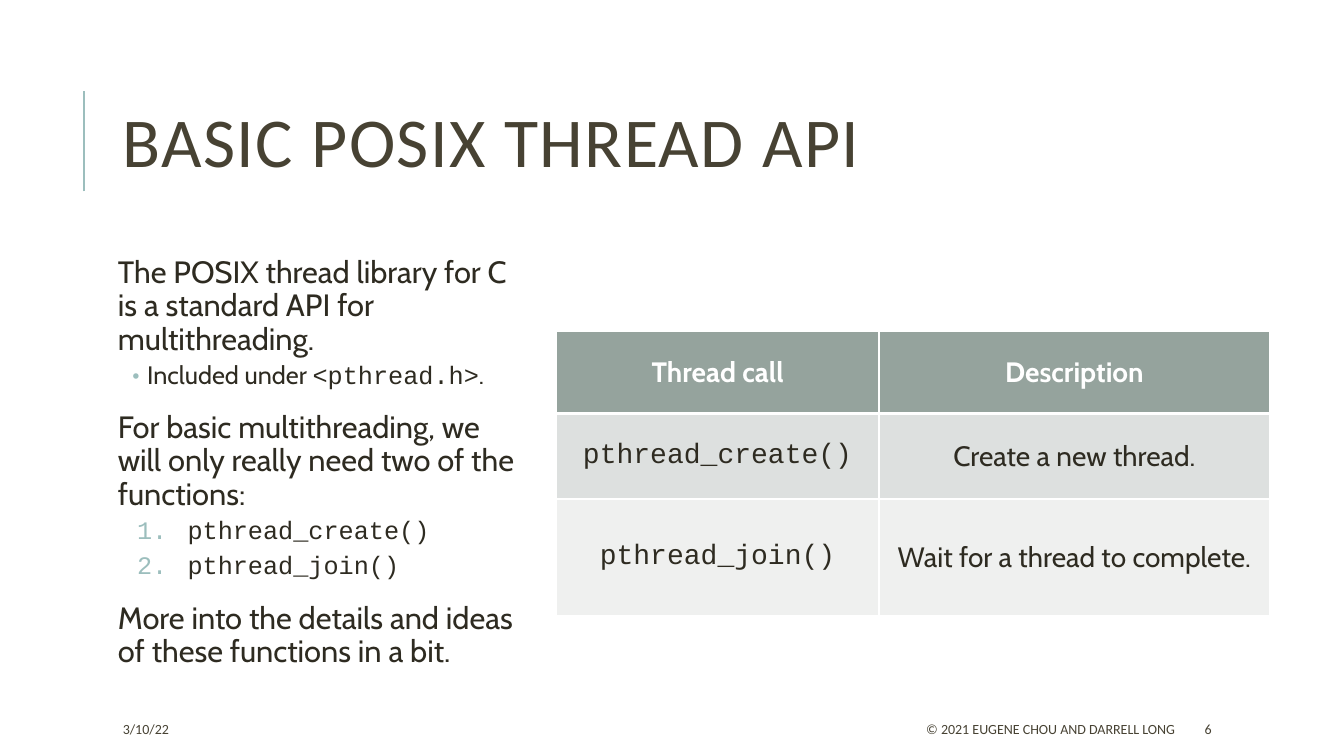
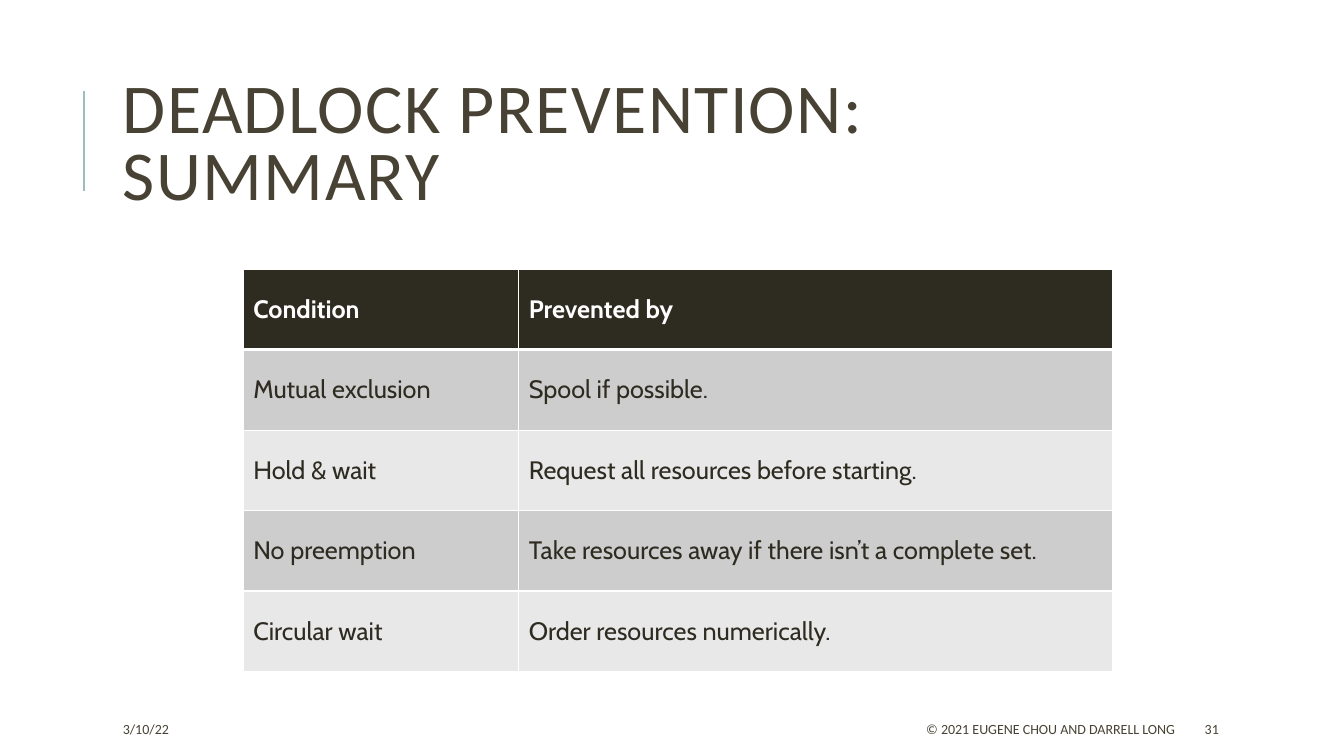
from dataclasses import dataclass

from pptx import Presentation
from pptx.dml.color import RGBColor
from pptx.enum.shapes import MSO_CONNECTOR as Connector
from pptx.enum.text import MSO_ANCHOR as Anchor, PP_ALIGN as Align
from pptx.oxml.ns import qn
from pptx.util import Emu, Inches, Pt
from lxml.etree import SubElement

COLORS = {
    "title": "474233",
    "text": "2E2B21",
    "accent": "9CBEBD",
    "white": "FFFFFF",
    "sage": "95A39D",
    "sage_dark": "DDE0DF",
    "sage_light": "EFF0EF",
    "gray_dark": "CDCDCD",
    "gray_light": "E8E8E8",
}
HEADING, BODY, CODE = "Calibri", "Cabin", "Courier New"
WIDTH, HEIGHT = Inches(13.333), Inches(7.5)
MARGIN = 8.4
FOOTER_TOP, FOOTER_HEIGHT = 94.4, 4
DATE = "3/10/22"
COPYRIGHT = "© 2021 EUGENE CHOU AND DARRELL LONG"


@dataclass(frozen=True)
class Span:
    text: str
    font: str = BODY


@dataclass(frozen=True)
class Level:
    size: int
    before: int
    after: int
    depth: int = 0
    left: float = 0
    hanging: float = 0
    marker: str = ""


@dataclass(frozen=True)
class Item:
    level: Level
    spans: tuple[Span, ...]


@dataclass(frozen=True)
class Grid:
    """A table; lengths are percentages of the slide's size."""
    left: float
    top: float
    columns: tuple[float, ...]
    rows: tuple[float, ...]
    cells: tuple[tuple[Span, ...], ...]
    size: int
    align: Align
    header: str
    bands: tuple[str, str]


LEAD = Level(22, 12, 2)
BULLET = Level(18, 2, 4, 1, 0.29, 0.15, "•")
NUMBER = Level(18, 2, 4, 1, 0.69, 0.5, "1.")

THREAD_NOTES = (
    Item(LEAD, (Span("The POSIX thread library for C is a standard API for multithreading."),)),
    Item(BULLET, (Span("Included under "), Span("<pthread.h>", CODE), Span("."))),
    Item(LEAD, (Span("For basic multithreading, we will only really need two of the functions:"),)),
    Item(NUMBER, (Span("pthread_create()", CODE),)),
    Item(NUMBER, (Span("pthread_join()", CODE),)),
    Item(LEAD, (Span("More into the details and ideas of these functions in a bit."),)),
)
THREAD_CALLS = Grid(
    41.4, 43.9, (24, 29.1), (10.8, 11.3, 15.4),
    (
        (Span("Thread call"), Span("Description")),
        (Span("pthread_create()", CODE), Span("Create a new thread.")),
        (Span("pthread_join()", CODE), Span("Wait for a thread to complete.")),
    ),
    20, Align.CENTER, "sage", ("sage_dark", "sage_light"),
)
PREVENTION = Grid(
    18.1, 35.6, (20.5, 44.2), (10.65,) * 5,
    (
        (Span("Condition"), Span("Prevented by")),
        (Span("Mutual exclusion"), Span("Spool if possible.")),
        (Span("Hold & wait"), Span("Request all resources before starting.")),
        (Span("No preemption"), Span("Take resources away if there isn’t a complete set.")),
        (Span("Circular wait"), Span("Order resources numerically.")),
    ),
    18, Align.LEFT, "text", ("gray_dark", "gray_light"),
)


def across(percent: float) -> Emu:
    return Emu(round(WIDTH * percent / 100))


def down(percent: float) -> Emu:
    return Emu(round(HEIGHT * percent / 100))


def rgb(name: str) -> RGBColor:
    return RGBColor.from_string(COLORS[name])


def add_span(para, span: Span, size: int, color: str, bold: bool = False):
    run = para.add_run()
    run.text = span.text
    run.font.name = span.font
    run.font.size = Pt(size)
    run.font.bold = bold
    run.font.color.rgb = rgb(color)
    return run


def add_box(page, left: float, top: float, width: float, height: float, anchor=Anchor.MIDDLE):
    box = page.shapes.add_textbox(across(left), down(top), across(width), down(height))
    frame = box.text_frame
    frame.word_wrap = True
    frame.vertical_anchor = anchor
    return frame


def add_title(page, title: str) -> None:
    rule = page.shapes.add_connector(
        Connector.STRAIGHT, across(6.25), down(25.33), across(6.25), down(12))
    rule.line.color.rgb = rgb("accent")
    rule.line.width = Pt(1.5)
    SubElement(rule._element.spPr, qn("a:effectLst"))

    para = add_box(page, MARGIN, 8.5, 79.75, 21.9).paragraphs[0]
    para.line_spacing = 0.8
    run = add_span(para, Span(title, HEADING), 50, "title")
    run.font._element.set("spc", "100")


def add_footer(page, number: int) -> None:
    for text, left, width, align in (
        (DATE, MARGIN, 17.7, Align.LEFT),
        (COPYRIGHT, 39.75, 48.4, Align.RIGHT),
        (str(number), 88.9, 7.95, Align.LEFT),
    ):
        para = add_box(page, left, FOOTER_TOP, width, FOOTER_HEIGHT).paragraphs[0]
        para.alignment = align
        add_span(para, Span(text, HEADING), 10, "title")


def add_marker(para, level: Level, font: str) -> None:
    props = para._p.get_or_add_pPr()
    props.set("marL", str(Inches(level.left)))
    props.set("indent", str(-Inches(level.hanging)))
    color = SubElement(props, qn("a:buClr"))
    SubElement(color, qn("a:srgbClr"), val=COLORS["accent"])
    SubElement(props, qn("a:buFont"), typeface=font)
    if level is NUMBER:
        SubElement(props, qn("a:buAutoNum"), type="arabicPeriod")
    else:
        SubElement(props, qn("a:buChar"), char=level.marker)


def add_notes(page, items: tuple[Item, ...]) -> None:
    frame = add_box(page, MARGIN, 33.33, 30.3, 58.67, Anchor.TOP)
    frame.margin_left = frame.margin_right = Inches(0.05)
    for index, item in enumerate(items):
        level = item.level
        para = frame.add_paragraph() if index else frame.paragraphs[0]
        para.level = level.depth
        if level.marker:
            add_marker(para, level, item.spans[0].font)
        para.line_spacing = 0.9
        para.space_before = Pt(level.before if index else 0)
        para.space_after = Pt(level.after)
        for span in item.spans:
            add_span(para, span, level.size, "text")


def add_borders(cell, top: int, bottom: int) -> None:
    """Draw white borders; call before the cell is filled."""
    props = cell._tc.get_or_add_tcPr()
    for side, points in (("L", 1), ("R", 1), ("T", top), ("B", bottom)):
        line = SubElement(props, qn(f"a:ln{side}"), w=str(Pt(points)))
        fill = SubElement(line, qn("a:solidFill"))
        SubElement(fill, qn("a:srgbClr"), val=COLORS["white"])


def add_grid(page, grid: Grid) -> None:
    table = page.shapes.add_table(
        len(grid.rows), len(grid.columns), across(grid.left), down(grid.top),
        across(sum(grid.columns)), down(sum(grid.rows))).table
    table.horz_banding = False
    for column, width in zip(table.columns, grid.columns):
        column.width = across(width)
    for index, (row, height, spans) in enumerate(zip(table.rows, grid.rows, grid.cells)):
        row.height = down(height)
        is_header = index == 0
        for cell, span in zip(row.cells, spans):
            add_borders(cell, 3 if index == 1 else 1, 3 if is_header else 1)
            cell.fill.solid()
            cell.fill.fore_color.rgb = rgb(grid.header if is_header else grid.bands[(index - 1) % 2])
            cell.vertical_anchor = Anchor.MIDDLE
            para = cell.text_frame.paragraphs[0]
            para.alignment = grid.align
            add_span(para, span, grid.size, "white" if is_header else "text", is_header)


def add_page(deck, title: str, number: int, grid: Grid, notes: tuple[Item, ...] = ()) -> None:
    page = deck.slides.add_slide(deck.slide_layouts[6])
    add_title(page, title)
    add_grid(page, grid)
    if notes:
        add_notes(page, notes)
    add_footer(page, number)


def main() -> None:
    deck = Presentation()
    deck.slide_width, deck.slide_height = WIDTH, HEIGHT
    add_page(deck, "BASIC POSIX THREAD API", 6, THREAD_CALLS, THREAD_NOTES)
    add_page(deck, "DEADLOCK PREVENTION: SUMMARY", 31, PREVENTION)
    deck.save("out.pptx")


if __name__ == "__main__":
    main()
